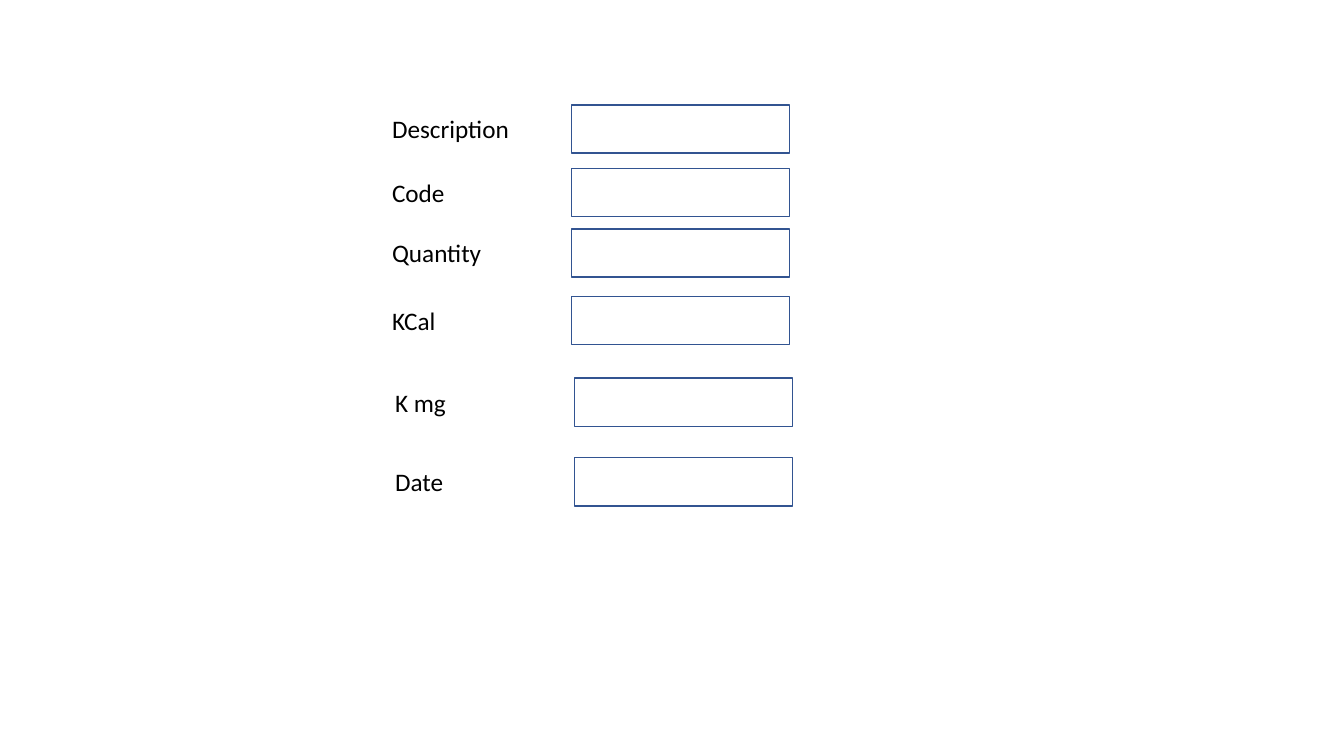
from pptx import Presentation
from pptx import util as u
from pptx.dml.color import RGBColor
from pptx.enum import shapes, text

PX = 9144
BLACK = RGBColor(0x00, 0x00, 0x00)
BORDER_BLUE = RGBColor(0x32, 0x54, 0x91)

FIELDS = [
    ("Description", 379, 104),
    ("Code", 379, 167),
    ("Quantity", 379, 227),
    ("KCal", 379, 294),
    ("K mg", 382, 375),
    ("Date", 382, 454),
]


class FormSlide:
    font = "Calibri"
    size = u.Pt(18)
    border = u.Pt(1)

    def __init__(self, slide):
        self.slide = slide

    def entry_box(self, parent, left, top, width, height):
        entry = parent.add_shape(
            shapes.MSO_SHAPE.RECTANGLE, left * PX, top * PX, width * PX, height * PX)
        entry.shadow.inherit = False
        entry.fill.background()
        entry.line.color.rgb = BORDER_BLUE
        entry.line.width = self.border

    def label(self, parent, wording, left, top, width, height):
        caption = parent.add_textbox(left * PX, top * PX, width * PX, height * PX)
        frame = caption.text_frame
        frame.word_wrap = True
        frame.auto_size = text.MSO_AUTO_SIZE.SHAPE_TO_FIT_TEXT
        run = frame.paragraphs[0].add_run()
        run.text = wording
        run.font.name = self.font
        run.font.size = self.size
        run.font.color.rgb = BLACK

    def field(self, wording, left, top):
        members = self.slide.shapes.add_group_shape().shapes
        self.entry_box(members, left + 188, top, 216, 48)
        self.label(members, wording, left, top + 4, 247, 40)


def main():
    deck = Presentation()
    deck.slide_width = 1333 * PX
    deck.slide_height = 750 * PX
    form = FormSlide(deck.slides.add_slide(deck.slide_layouts[6]))
    for wording, left, top in FIELDS:
        form.field(wording, left, top)
    deck.save("out.pptx")


if __name__ == "__main__":
    main()
